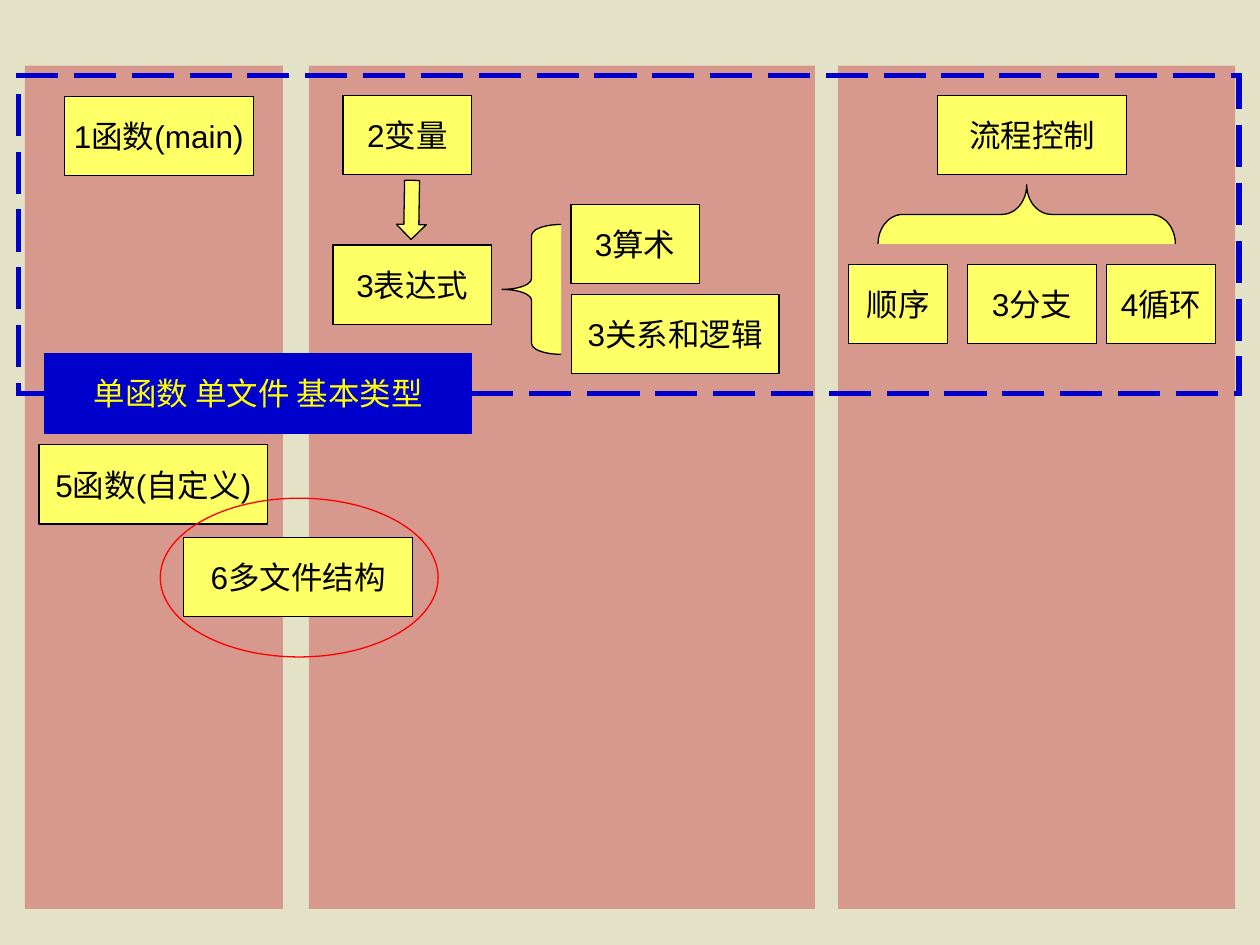
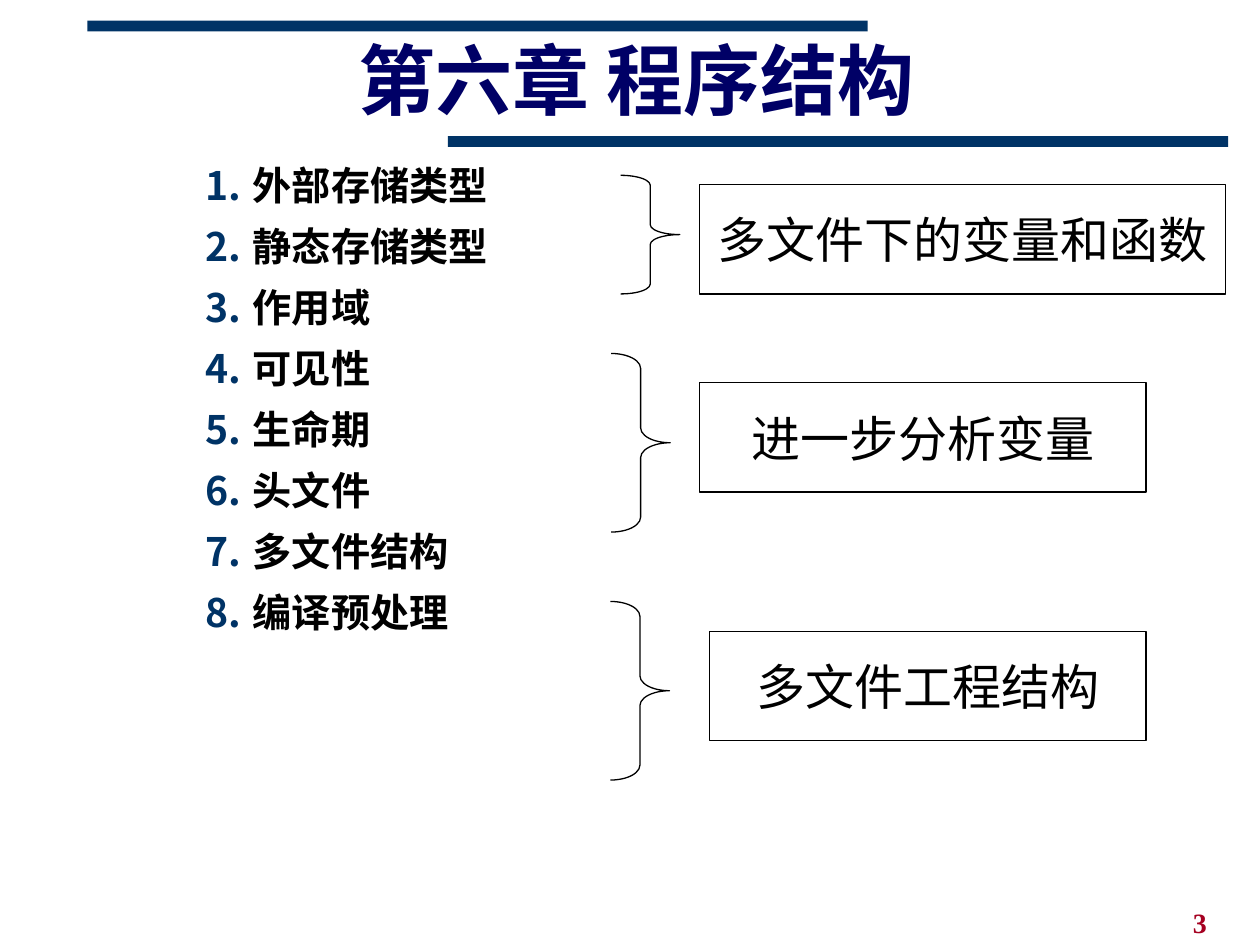
from lxml.etree import SubElement
from pptx import Presentation
from pptx.dml.color import RGBColor
from pptx.enum.dml import MSO_LINE
from pptx.enum.shapes import MSO_SHAPE
from pptx.enum.text import MSO_ANCHOR, MSO_AUTO_SIZE, PP_ALIGN
from pptx.oxml.ns import qn
from pptx.util import Pt

CHINESE = "Noto Sans CJK SC"
SAND, ROSE, YELLOW, BLUE, NAVY = "E3E2C7", "D7998D", "FFFF66", "0000CC", "003366"
BLACK, WHITE, RED = "000000", "FFFFFF", "FF0000"
LABEL = {"size": Pt(18), "name": "Arial"}
NOTE = {"size": Pt(28), "name": "Arial"}
TITLE = {"size": Pt(44), "name": CHINESE, "bold": True}
TOPIC = {"size": Pt(22.4), "name": "Times New Roman", "bold": True}
NUMBER = {"size": Pt(16), "name": "Times New Roman", "bold": True}
LABEL_HEIGHT, NOTE_HEIGHT, BRACE_WIDTH = 45.3, 62.6, 33.8

PANELS = [(479, 226.8), (176.5, 289.2), (14.2, 147.5)]
LABELS = [
    ("1函数(main)", 36.8, 55.1, 108),
    ("2变量", 196, 54.5, 73.5),
    ("3表达式", 190.3, 140, 90.7),
    ("3算术", 326.2, 116.8, 73.4),
    ("3关系和逻辑", 326.4, 168.2, 118.8),
    ("流程控制", 535.8, 54.5, 108),
    ("顺序", 484.7, 151.1, 56.9),
    ("3分支", 553, 151.1, 73.5),
    ("4循环", 632.2, 151.1, 62.6),
    ("5函数(自定义)", 22.3, 254.2, 130.6),
]
TOPICS = ["外部存储类型", "静态存储类型", "作用域", "可见性",
          "生命期", "头文件", "多文件结构", "编译预处理"]
TOPIC_GROUPS = [
    ("多文件下的变量和函数", (354.7, 100.2, 67.8), (399.6, 105.5, 300.6)),
    ("进一步分析变量", (349.2, 202, 102.1), (399.7, 218.7, 255.2)),
    ("多文件工程结构", (348.8, 343.7, 102.1), (405.4, 360.8, 249.5)),
]


def color(value):
    return RGBColor.from_string(value)


def add_page(deck, layout, background):
    page = deck.slides.add_slide(deck.slide_layouts[layout])
    page.background.fill.solid()
    page.background.fill.fore_color.rgb = color(background)
    return page


def add_span(para, text, font, tint):
    span = para.add_run()
    span.text = text
    for name, value in font.items():
        setattr(span.font, name, value)
    span.font.color.rgb = color(tint)
    SubElement(span._r.get_or_add_rPr(), qn("a:ea")).set("typeface", CHINESE)


def add_figure(page, kind, left, top, width, height, fill=None, line=None, weight=0.75):
    figure = page.shapes.add_shape(kind, Pt(left), Pt(top), Pt(width), Pt(height))
    figure.shadow.inherit = False
    for paint, tint in ((figure.fill, fill), (figure.line.fill, line)):
        if tint:
            paint.solid()
            paint.fore_color.rgb = color(tint)
        else:
            paint.background()
    if line:
        figure.line.width = Pt(weight)
    return figure


def add_label(page, text, left, top, width, height=LABEL_HEIGHT, fill=YELLOW,
              line=BLACK, font=LABEL, tint=BLACK):
    box = add_figure(page, MSO_SHAPE.RECTANGLE, left, top, width, height, fill, line)
    box.text_frame.word_wrap = False
    box.text_frame.vertical_anchor = MSO_ANCHOR.MIDDLE
    para = box.text_frame.paragraphs[0]
    para.alignment = PP_ALIGN.CENTER
    add_span(para, text, font, tint)


def add_brace(page, kind, left, top, height, fill):
    brace = add_figure(page, kind, left, top, BRACE_WIDTH, height, fill, BLACK)
    brace.adjustments[0] = height / 12 / BRACE_WIDTH
    return brace


def add_dashed_frame(page, left, top, width, height):
    frame = add_figure(page, MSO_SHAPE.RECTANGLE, left, top, width, height, None, BLUE, 3)
    frame.line.dash_style = MSO_LINE.LONG_DASH
    outline = frame.line._get_or_add_ln()
    SubElement(outline, qn("a:miter")).set("lim", "800000")


def add_text_box(page, left, top, width, height):
    box = page.shapes.add_textbox(Pt(left), Pt(top), Pt(width), Pt(height))
    box.text_frame.word_wrap = True
    return box.text_frame


def add_title(page, text):
    title = page.shapes.title
    place = {"left": 167.3, "top": 15.1, "width": 393.1, "height": 67.7}
    for name, value in place.items():
        setattr(title, name, Pt(value))
    title.text_frame.auto_size = MSO_AUTO_SIZE.NONE
    title.text_frame.vertical_anchor = MSO_ANCHOR.MIDDLE
    para = title.text_frame.paragraphs[0]
    para.alignment = PP_ALIGN.CENTER
    para.line_spacing = 0.85
    add_span(para, text, TITLE, "000066")


def add_bands(page):
    for left, top in ((50, 11.8), (256, 77.8)):
        add_figure(page, MSO_SHAPE.RECTANGLE, left, top, 445.9, 6.2, NAVY)


def add_page_number(page, number):
    frame = add_text_box(page, 674.6, 513.8, 45.4, 26.2)
    add_span(frame.paragraphs[0], number, NUMBER, "A50021")


def number_paragraph(para):
    properties = para._p.get_or_add_pPr()
    properties.set("marL", str(Pt(27)))
    properties.set("indent", str(Pt(-27)))
    tint = SubElement(properties, qn("a:buClr"))
    SubElement(tint, qn("a:srgbClr")).set("val", NAVY)
    SubElement(properties, qn("a:buFont")).set("typeface", CHINESE)
    SubElement(properties, qn("a:buAutoNum")).set("type", "arabicPeriod")


def add_topics(page):
    frame = add_text_box(page, 110.3, 88.6, 351.4, 291.6)
    for index, topic in enumerate(TOPICS):
        para = frame.add_paragraph() if index else frame.paragraphs[0]
        para.space_before = Pt(8)
        number_paragraph(para)
        add_span(para, topic, TOPIC, BLACK)


def build_map(deck):
    page = add_page(deck, 6, SAND)
    for left, width in PANELS:
        add_figure(page, MSO_SHAPE.RECTANGLE, left, 37.5, width, 481.9, ROSE)
    for label in LABELS:
        add_label(page, *label)
    arrow = add_figure(page, MSO_SHAPE.RIGHT_ARROW, 218.3, 111.4, 33.8, 17.1, YELLOW, BLACK)
    arrow.rotation = 91
    add_brace(page, MSO_SHAPE.LEFT_BRACE, 286.9, 128.3, 74.2, YELLOW)
    flow_brace = add_brace(page, MSO_SHAPE.LEFT_BRACE, 569.8, 37.6, 169.9, YELLOW)
    flow_brace.rotation = 90
    add_dashed_frame(page, 10.6, 43.2, 697.4, 181.6)
    add_label(page, "6多文件结构", 105, 307, 130.6)
    add_figure(page, MSO_SHAPE.OVAL, 91.6, 284.7, 158.8, 90.7, None, RED)
    add_label(page, "单函数 单文件 基本类型", 25.4, 202.1, 244.1,
              fill=BLUE, line=BLUE, tint="FFFF00")


def build_chapter(deck):
    page = add_page(deck, 5, WHITE)
    add_bands(page)
    add_page_number(page, "3")
    add_title(page, "第六章 程序结构")
    add_topics(page)
    for text, brace, note in TOPIC_GROUPS:
        add_brace(page, MSO_SHAPE.RIGHT_BRACE, *brace, WHITE)
        add_label(page, text, *note, height=NOTE_HEIGHT, fill=WHITE, font=NOTE)


def main():
    deck = Presentation()
    deck.slide_width, deck.slide_height = Pt(720), Pt(540)
    build_map(deck)
    build_chapter(deck)
    deck.save("out.pptx")


if __name__ == "__main__":
    main()
